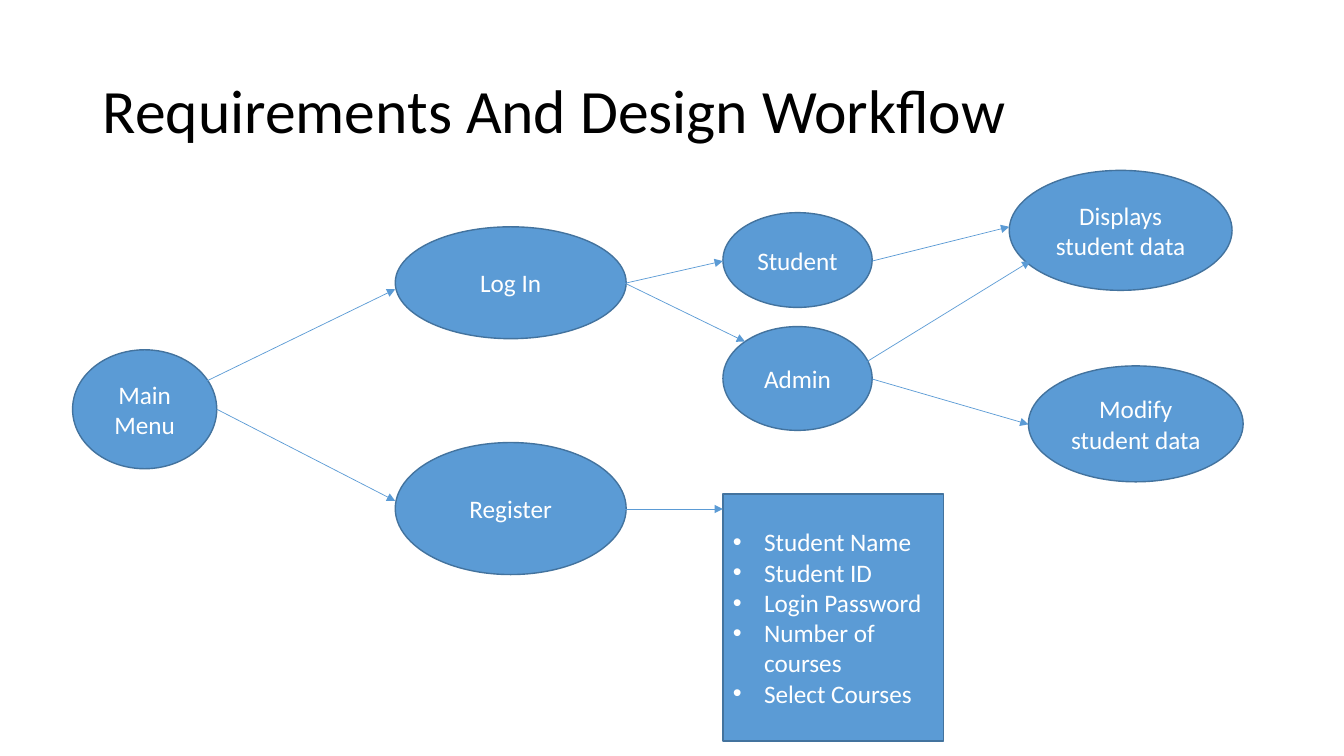
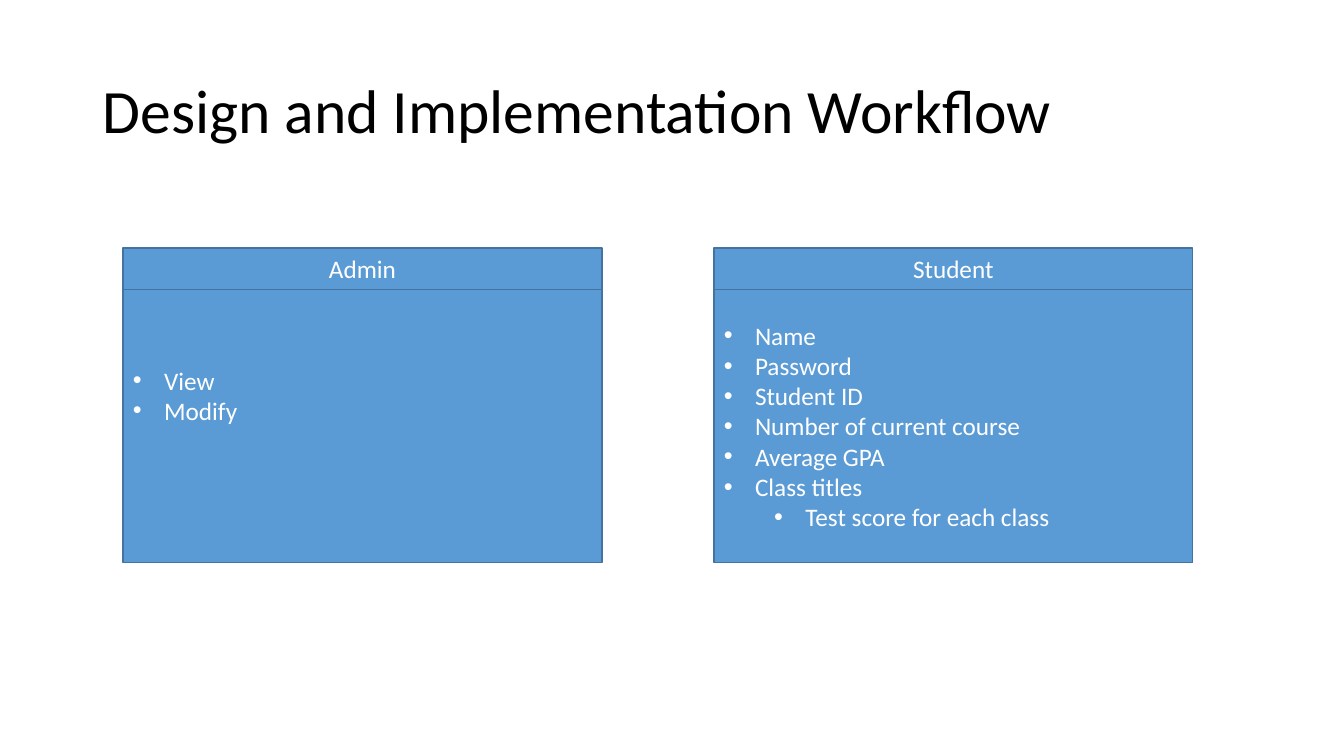
from lxml.etree import SubElement
from pptx import Presentation
from pptx.dml.color import RGBColor
from pptx.enum.shapes import MSO_CONNECTOR, MSO_SHAPE
from pptx.enum.text import MSO_ANCHOR, PP_ALIGN
from pptx.oxml.ns import qn
from pptx.util import Inches, Pt

BLUE = RGBColor(0x5B, 0x9B, 0xD5)
OUTLINE = RGBColor(0x43, 0x73, 0x9E)
BLACK = RGBColor(0, 0, 0)
WHITE = RGBColor(0xFF, 0xFF, 0xFF)
FONT = "Calibri"
INDENT = 0.31
LEVEL_STEP = 0.5

COLUMN_2, COLUMN_3 = 3.92, 7.17
BUBBLES = [
    ("Main Menu", 0.72, 3.47, 1.43, 1.18),
    ("Log In", COLUMN_2, 2.25, 2.29, 1.11),
    ("Register", COLUMN_2, 4.39, 2.29, 1.31),
    ("Student", COLUMN_3, 2.11, 1.48, 0.94),
    ("Admin", COLUMN_3, 3.24, 1.48, 1.03),
    ("Displays student data", 10.01, 1.69, 2.21, 1.19),
    ("Modify student data", 10.2, 3.63, 2.13, 1.15),
]
ARROWS = [
    (2.05, 3.78, COLUMN_2, 2.87),
    (2.15, 4.06, COLUMN_2, 4.97),
    (6.2, 2.81, COLUMN_3, 2.59),
    (6.2, 2.81, 7.39, 3.39),
    (6.2, 5.05, COLUMN_3, 5.05),
    (8.65, 2.59, 10.01, 2.25),
    (8.53, 3.63, 10.22, 2.59),
    (8.65, 3.76, 10.2, 4.21),
]
REGISTER_FIELDS = [
    ("Student Name", 0), ("Student ID", 0), ("Login Password", 0),
    ("Number of courses", 0), ("Select Courses", 0),
]
ADMIN_ACTIONS = [("View", 0), ("Modify", 0)]
STUDENT_FIELDS = [
    ("Name", 0), ("Password", 0), ("Student ID", 0),
    ("Number of current course", 0), ("Average GPA", 0),
    ("Class titles", 0), ("Test score for each class", 1),
]


def add_run(p, text, size, color):
    r = p.add_run()
    r.text = text
    r.font.name = FONT
    r.font.size = Pt(size)
    r.font.color.rgb = color


def add_title(s, text):
    sp = s.shapes.add_textbox(Inches(0.92), Inches(0.4), Inches(11.5), Inches(1.45))
    tf = sp.text_frame
    tf.word_wrap = True
    tf.vertical_anchor = MSO_ANCHOR.MIDDLE
    p = tf.paragraphs[0]
    p.line_spacing = 0.9
    add_run(p, text, 44, BLACK)


def add_box(s, kind, x, y, w, h):
    sp = s.shapes.add_shape(kind, Inches(x), Inches(y), Inches(w), Inches(h))
    sp.shadow.inherit = False
    sp.fill.solid()
    sp.fill.fore_color.rgb = BLUE
    sp.line.color.rgb = OUTLINE
    sp.line.width = Pt(1)
    tf = sp.text_frame
    tf.word_wrap = True
    tf.vertical_anchor = MSO_ANCHOR.MIDDLE
    return tf


def add_label(s, kind, text, x, y, w, h):
    p = add_box(s, kind, x, y, w, h).paragraphs[0]
    p.alignment = PP_ALIGN.CENTER
    add_run(p, text, 18, WHITE)


def add_bullet(p, level):
    p.level = level
    p.alignment = PP_ALIGN.LEFT
    pPr = p._p.get_or_add_pPr()
    pPr.set("marL", str(Inches(INDENT + level * LEVEL_STEP)))
    pPr.set("indent", str(Inches(-INDENT)))
    SubElement(pPr, qn("a:buFont")).set("typeface", "Arial")
    SubElement(pPr, qn("a:buChar")).set("char", "•")


def add_list(s, items, x, y, w, h, bottom=0.05):
    tf = add_box(s, MSO_SHAPE.RECTANGLE, x, y, w, h)
    tf.margin_bottom = Inches(bottom)
    for i, (text, level) in enumerate(items):
        p = tf.add_paragraph() if i else tf.paragraphs[0]
        add_bullet(p, level)
        add_run(p, text, 18, WHITE)


def add_arrow(s, x1, y1, x2, y2):
    line = s.shapes.add_connector(
        MSO_CONNECTOR.STRAIGHT, Inches(x1), Inches(y1), Inches(x2), Inches(y2))
    line.line.color.rgb = BLUE
    line.line.width = Pt(0.5)
    SubElement(line.line._get_or_add_ln(), qn("a:tailEnd")).set("type", "triangle")
    SubElement(line._element.spPr, qn("a:effectLst"))


def add_card(s, heading, items, x, bottom=0.05):
    add_label(s, MSO_SHAPE.RECTANGLE, heading, x, 2.46, 4.75, 0.41)
    add_list(s, items, x, 2.87, 4.75, 2.71, bottom)


def add_slide(prs, title):
    s = prs.slides.add_slide(prs.slide_layouts[6])
    add_title(s, title)
    return s


def build_requirements(prs):
    s = add_slide(prs, "Requirements And Design Workflow")
    for text, *place in BUBBLES:
        add_label(s, MSO_SHAPE.OVAL, text, *place)
    add_list(s, REGISTER_FIELDS, COLUMN_3, 4.9, 2.19, 2.45)
    for ends in ARROWS:
        add_arrow(s, *ends)


def build_implementation(prs):
    s = add_slide(prs, "Design and Implementation Workflow")
    add_card(s, "Admin", ADMIN_ACTIONS, 1.22, bottom=0.66)
    add_card(s, "Student", STUDENT_FIELDS, 7.08)


def main():
    prs = Presentation()
    prs.slide_width = Inches(13.33)
    prs.slide_height = Inches(7.5)
    build_requirements(prs)
    build_implementation(prs)
    prs.save("out.pptx")


main()
